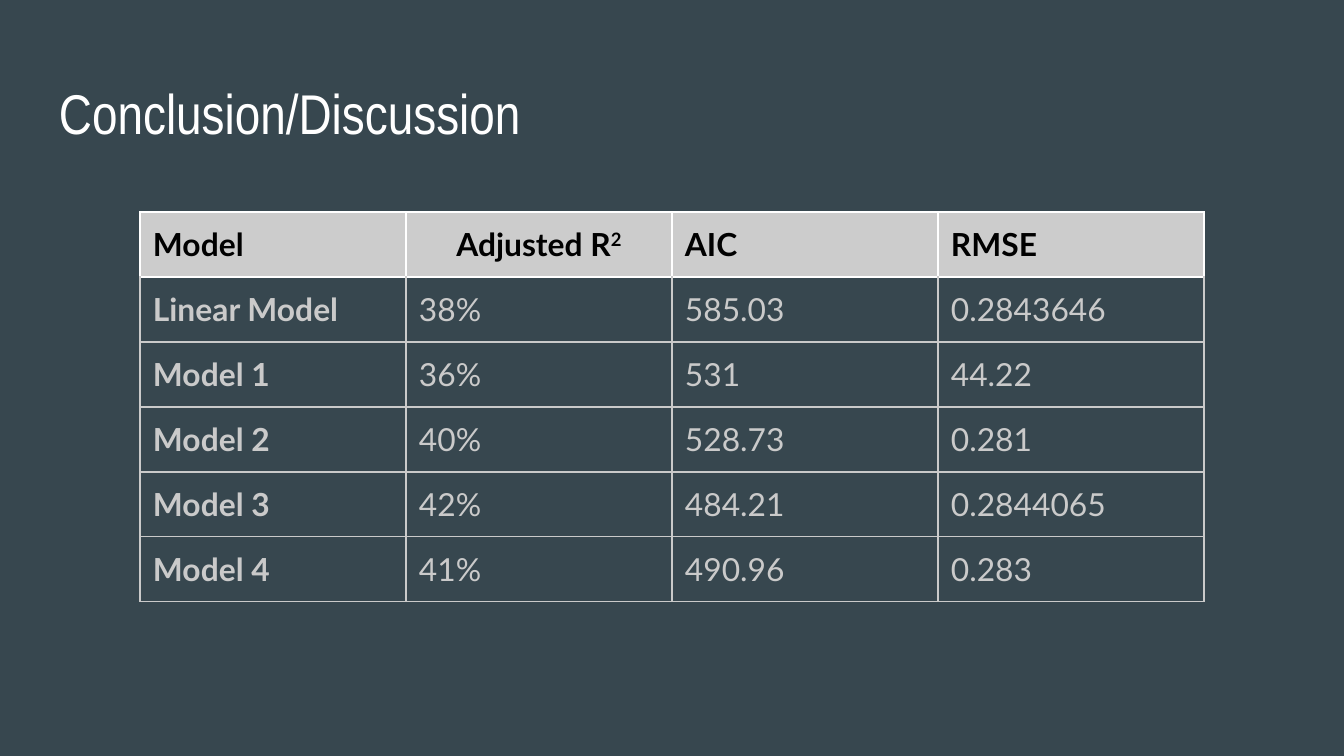
from lxml import etree
from pptx import Presentation, util as u
from pptx.dml.color import RGBColor as Rgb
from pptx.enum import text
from pptx.oxml.ns import qn

PX = 6804  # EMU per px, 134.4 px to the inch
theme = dict(back="37474F", title="FFFFFF", head="CCCCCC", ink="000000",
             body="CACACA", rule="FFFFFF", big=30, small=17,
             face="Arial Narrow", font="Lato")
PAD = 13 * PX


def style(run, face, size, color, bold=False):
    font = run.font
    font.name, font.size, font.bold = face, u.Pt(size), bold
    font.color.rgb = Rgb.from_string(color)


def border(cell, sides):
    props = cell._tc.get_or_add_tcPr()
    for n, (side, color) in enumerate(sides.items()):
        line = etree.Element(qn("a:ln" + side), w=str(u.Pt(0.75)))
        fill = etree.SubElement(line, qn("a:solidFill"))
        etree.SubElement(fill, qn("a:srgbClr"), val=color)
        props.insert(n, line)  # borders come before the fill


# Slide and background
deck = Presentation()
deck.slide_width, deck.slide_height = 1344 * PX, 756 * PX
slide = deck.slides.add_slide(deck.slide_layouts[5])
slide.background.fill.solid()
slide.background.fill.fore_color.rgb = Rgb.from_string(theme["back"])

# Title
title = slide.shapes.title
title.left, title.top, title.width, title.height = (
    n * PX for n in (46, 66, 1252, 84))
frame = title.text_frame
frame.text = "Conclusion/Discussion"
frame.auto_size = text.MSO_AUTO_SIZE.NONE
frame.vertical_anchor = text.MSO_ANCHOR.TOP
frame.margin_left = frame.margin_right = PAD
frame.margin_top = frame.margin_bottom = PAD
frame.paragraphs[0].alignment = text.PP_ALIGN.LEFT
style(frame.paragraphs[0].runs[0], theme["face"], theme["big"], theme["title"])

# Model table
rows = [
    ("Model", "Adjusted R", "AIC", "RMSE"),
    ("Linear Model", "38%", "585.03", "0.2843646"),
    ("Model 1", "36%", "531", "44.22"),
    ("Model 2", "40%", "528.73", "0.281"),
    ("Model 3", "42%", "484.21", "0.2844065"),
    ("Model 4", "41%", "490.96", "0.283"),
]
wide, high = 266, 65
table = slide.shapes.add_table(
    len(rows), len(rows[0]), 140 * PX, 212 * PX,
    wide * len(rows[0]) * PX, high * len(rows) * PX).table
table.first_row = table.horz_banding = False

for r, row in enumerate(rows):
    for c, word in enumerate(row):
        cell = table.cell(r, c)
        cell.text = word
        cell.margin_left = cell.margin_right = PAD
        cell.margin_top = cell.margin_bottom = PAD
        para = cell.text_frame.paragraphs[0]
        if r == 0:
            cell.fill.solid()
            cell.fill.fore_color.rgb = Rgb.from_string(theme["head"])
        else:
            cell.fill.background()
        if (r, c) == (0, 1):  # squared sign
            para.alignment = text.PP_ALIGN.CENTER
            power = para.add_run()
            power.text = "2"
            power.font._element.set("baseline", "30000")
        for run in para.runs:
            style(run, theme["font"], theme["small"],
                  theme["body"] if r else theme["ink"], r == 0 or c == 0)
        edge = theme["body"] if r else theme["rule"]
        top = theme["body"] if r > 1 else theme["rule"]
        border(cell, dict(L=edge, R=edge, T=top, B=edge))

deck.save("out.pptx")
